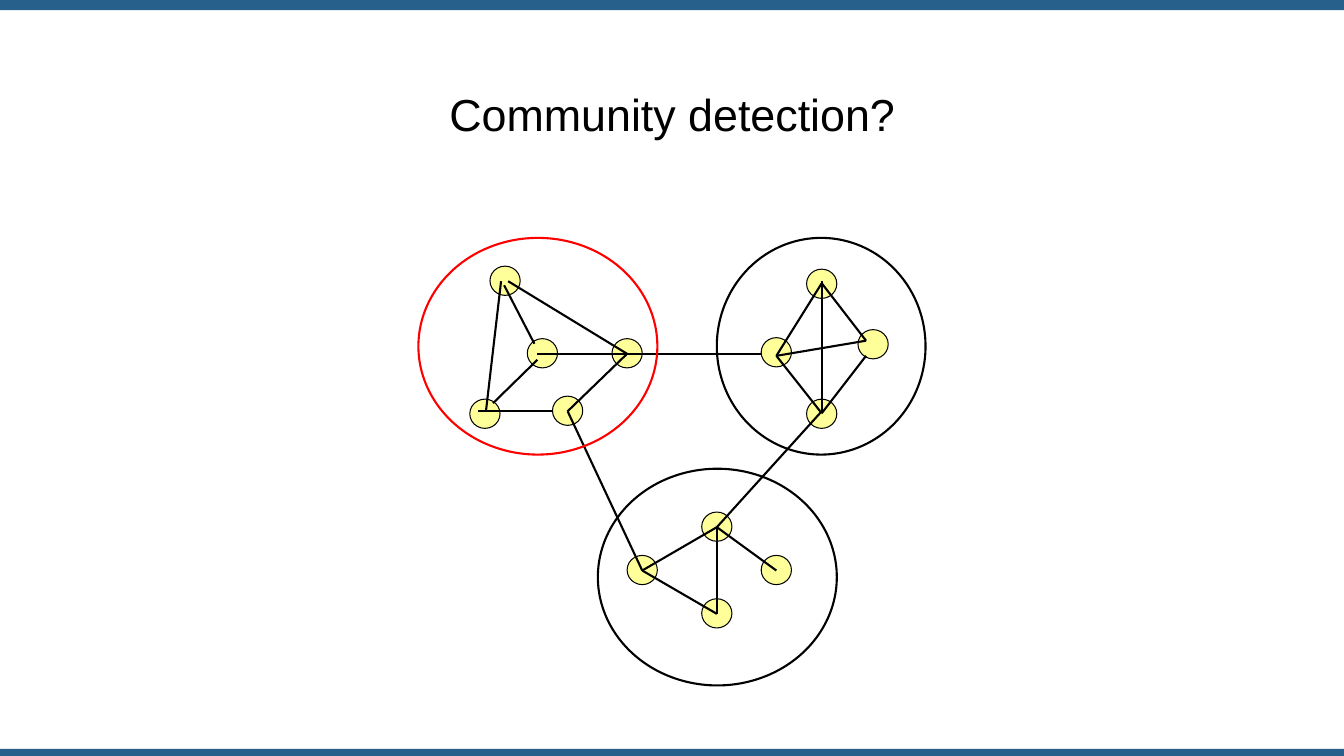
from lxml import etree
from pptx import Presentation
from pptx.dml.color import RGBColor
from pptx.enum.shapes import MSO_CONNECTOR, MSO_SHAPE
from pptx.enum.text import MSO_AUTO_SIZE, PP_ALIGN
from pptx.oxml.ns import qn
from pptx.util import Inches, Pt

RECTANGLE, OVAL = MSO_SHAPE.RECTANGLE, MSO_SHAPE.OVAL
STRAIGHT = MSO_CONNECTOR.STRAIGHT
CENTER = PP_ALIGN.CENTER
FIT_SHAPE = MSO_AUTO_SIZE.SHAPE_TO_FIT_TEXT

COLORS = {"bar": "28608C", "node": "FFFF99", "ink": "000000", "highlight": "FF0000"}
SLIDE_WIDTH, SLIDE_HEIGHT = 13.33, 7.5
NODE_WIDTH, NODE_HEIGHT = 0.3, 0.29


def color(name):
    return RGBColor.from_string(COLORS[name])


def add_filled_shape(kind, box, fill=None, line=None, line_width=0):
    """Add a shape without shadow; a fill or line of None is left empty."""
    shape = slide.shapes.add_shape(kind, *map(Inches, box))
    shape.shadow.inherit = False
    if fill:
        shape.fill.solid()
        shape.fill.fore_color.rgb = color(fill)
    else:
        shape.fill.background()
    if line:
        shape.line.color.rgb = color(line)
        shape.line.width = Pt(line_width)
    else:
        shape.line.fill.background()


presentation = Presentation()
presentation.slide_width = Inches(SLIDE_WIDTH)
presentation.slide_height = Inches(SLIDE_HEIGHT)
slide = presentation.slides.add_slide(presentation.slide_layouts[6])

# Top and bottom bars
for top, height in [(0, 0.1), (7.43, 0.07)]:
    add_filled_shape(RECTANGLE, (0, top, SLIDE_WIDTH, height), fill="bar")

# Title
title = slide.shapes.add_textbox(Inches(4.34), Inches(0.81), Inches(4.66), Inches(0.64))
title.text_frame.word_wrap = False
title.text_frame.auto_size = FIT_SHAPE
paragraph = title.text_frame.paragraphs[0]
paragraph.alignment = CENTER
run = paragraph.add_run()
run.text = "Community detection?"
for name, value in {"name": "Arial", "size": Pt(32)}.items():
    setattr(run.font, name, value)
run.font.color.rgb = color("ink")

# Nodes, by left and top, one row per community
nodes = [
    (4.86, 2.64), (5.23, 3.36), (5.48, 3.93), (6.07, 3.36), (4.66, 3.96),
    (8, 2.67), (7.55, 3.35), (8.51, 3.27), (8, 3.96),
    (6.22, 5.51), (6.96, 5.08), (6.96, 5.94), (7.55, 5.51),
]
for left, top in nodes:
    add_filled_shape(OVAL, (left, top, NODE_WIDTH, NODE_HEIGHT), "node", "ink", 0.75)

# Points where several edges meet
left_hub, left_exit = (6.22, 3.51), (5.63, 4.08)
right_hub, right_top, right_bottom = (7.7, 3.53), (8.15, 2.81), (8.15, 4.1)
right_exit = (8.15, 4.08)
lower_left, lower_top, lower_bottom = (6.37, 5.66), (7.11, 5.23), (7.11, 6.09)

edges = [
    # Left community
    ((5, 2.83), (5.3, 3.41)),
    ((4.97, 2.79), (4.82, 4.08)),
    ((5.33, 3.57), (4.89, 4)),
    ((5.33, 3.51), left_hub),
    ((4.74, 4.08), (5.48, 4.08)),
    (left_hub, left_exit),
    ((5.04, 2.79), left_hub),
    # Right community
    (right_hub, right_top),
    (right_top, (8.59, 3.38)),
    (right_hub, right_bottom),
    ((8.59, 3.53), right_bottom),
    (right_hub, (8.59, 3.38)),
    ((8.15, 2.79), right_exit),
    # Lower community
    (lower_left, lower_top),
    (lower_top, lower_bottom),
    (lower_left, lower_bottom),
    (lower_top, (7.7, 5.66)),
    # Between communities
    (left_hub, (7.55, 3.51)),
    (left_exit, lower_left),
    (lower_top, right_exit),
]
for start, end in edges:
    edge = slide.shapes.add_connector(STRAIGHT, *map(Inches, start + end))
    edge.line.color.rgb = color("ink")
    edge.line.width = Pt(1.5)
    etree.SubElement(edge._element.spPr, qn("a:effectLst"))

# Community outlines
communities = [
    ((4.15, 2.36, 2.37, 2.15), "highlight"),
    ((7.11, 2.36, 2.07, 2.15), "ink"),
    ((5.93, 4.65, 2.37, 2.15), "ink"),
]
for box, outline in communities:
    add_filled_shape(OVAL, box, line=outline, line_width=1.5)

presentation.save("out.pptx")
